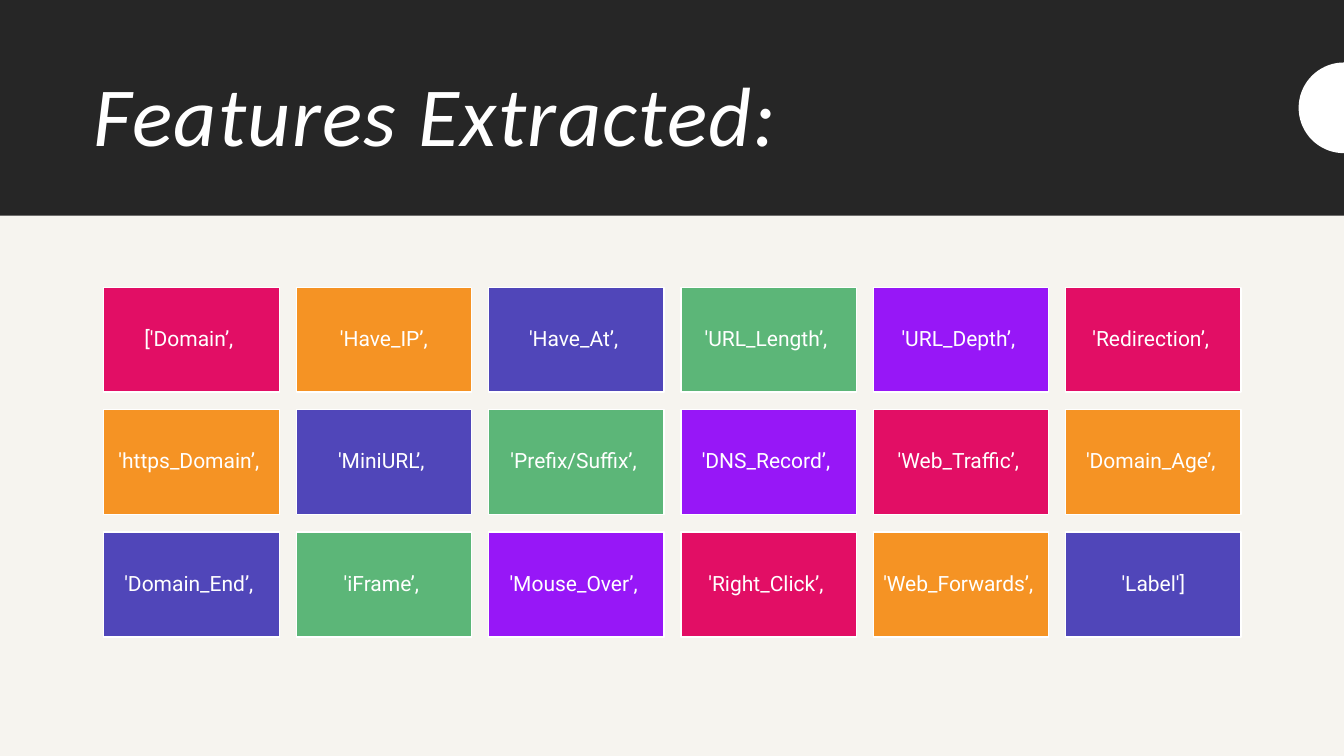
import math

from pptx import Presentation
from pptx.dml.color import RGBColor
from pptx.enum.shapes import MSO_SHAPE
from pptx.enum.text import MSO_ANCHOR, MSO_AUTO_SIZE, PP_ALIGN
from pptx.util import Inches, Pt

RECT = MSO_SHAPE.RECTANGLE
MIDDLE = MSO_ANCHOR.MIDDLE
LEFT, CENTER = PP_ALIGN.LEFT, PP_ALIGN.CENTER

COLORS = {
    "paper": "F6F4EF", "dark": "262626", "white": "FFFFFF",
    "pink": "E20E65", "orange": "F59324", "indigo": "5046B9",
    "green": "5CB678", "purple": "9717F7",
}
TILE_COLORS = ["pink", "orange", "indigo", "green", "purple"]
FEATURES = [
    "['Domain’, ", "'Have_IP’,", "'Have_At’, ",
    "'URL_Length’, ", "'URL_Depth’, ", "'Redirection’, ",
    "'https_Domain’, ", "'MiniURL’, ", "'Prefix/Suffix’, ",
    "'DNS_Record’, ", "'Web_Traffic’, ", "'Domain_Age’, ",
    "'Domain_End’, ", "'iFrame’, ", "'Mouse_Over’, ",
    "'Right_Click’, ", "'Web_Forwards’, ", "'Label']",
]


def paint(shape, color, line=None):
    shape.shadow.inherit = False
    shape.fill.solid()
    shape.fill.fore_color.rgb = RGBColor.from_string(COLORS[color])
    if line:
        shape.line.color.rgb = RGBColor.from_string(COLORS[line])
        shape.line.width = Pt(1)
    else:
        shape.line.fill.background()


def write(tf, text, font, size, align):
    tf.word_wrap = True
    tf.vertical_anchor = MIDDLE
    p = tf.paragraphs[0]
    p.alignment = align
    p.line_spacing = 0.9
    r = p.add_run()
    r.text = text
    r.font.name = font
    r.font.size = Pt(size)
    r.font.color.rgb = RGBColor.from_string(COLORS["white"])
    return r


prs = Presentation()
prs.slide_width, prs.slide_height = Inches(13.33), Inches(7.5)
s = prs.slides.add_slide(prs.slide_layouts[5])
s.background.fill.solid()
s.background.fill.fore_color.rgb = RGBColor.from_string(COLORS["paper"])

# Header band
band = s.shapes.add_shape(RECT, 0, 0, prs.slide_width, Inches(2.14))
paint(band, "dark")

# Title, raised above the band
title = s.shapes.title
title.left, title.top = Inches(0.83), Inches(0.46)
title.width, title.height = Inches(11.67), Inches(1.45)
band.element.addnext(title.element)
title.text_frame.auto_size = MSO_AUTO_SIZE.NONE
r = write(title.text_frame, "Features Extracted:", "Calibri", 60, LEFT)
r.font.italic = True
r.font._element.set("spc", "100")

# Half disc at the right edge
cx, cy, radius = 13.33, 1.07, 0.45
arc = []
for step in range(37):
    angle = math.radians(90 + 5 * step)
    arc.append((Inches(cx + radius * math.cos(angle)),
                Inches(cy + radius * math.sin(angle))))
builder = s.shapes.build_freeform(*arc[0])
builder.add_line_segments(arc[1:], close=True)
paint(builder.convert_to_shape(), "white")

# Feature tiles, six to a row, colours cycling in reading order
cols, rows = 6, 3
left, top = 1.03, 2.85
col_step = (10.57 - left) / (cols - 1)
row_step = (5.28 - top) / (rows - 1)
for i, feature in enumerate(FEATURES):
    row, col = divmod(i, cols)
    sp = s.shapes.add_shape(RECT, Inches(left + col * col_step),
                            Inches(top + row * row_step),
                            Inches(1.74), Inches(1.04))
    paint(sp, TILE_COLORS[i % len(TILE_COLORS)], "white")
    tf = sp.text_frame
    tf.margin_left = tf.margin_right = Inches(0.06)
    tf.margin_top = tf.margin_bottom = Inches(0.06)
    write(tf, feature, "Roboto", 15, CENTER)

prs.save("out.pptx")
